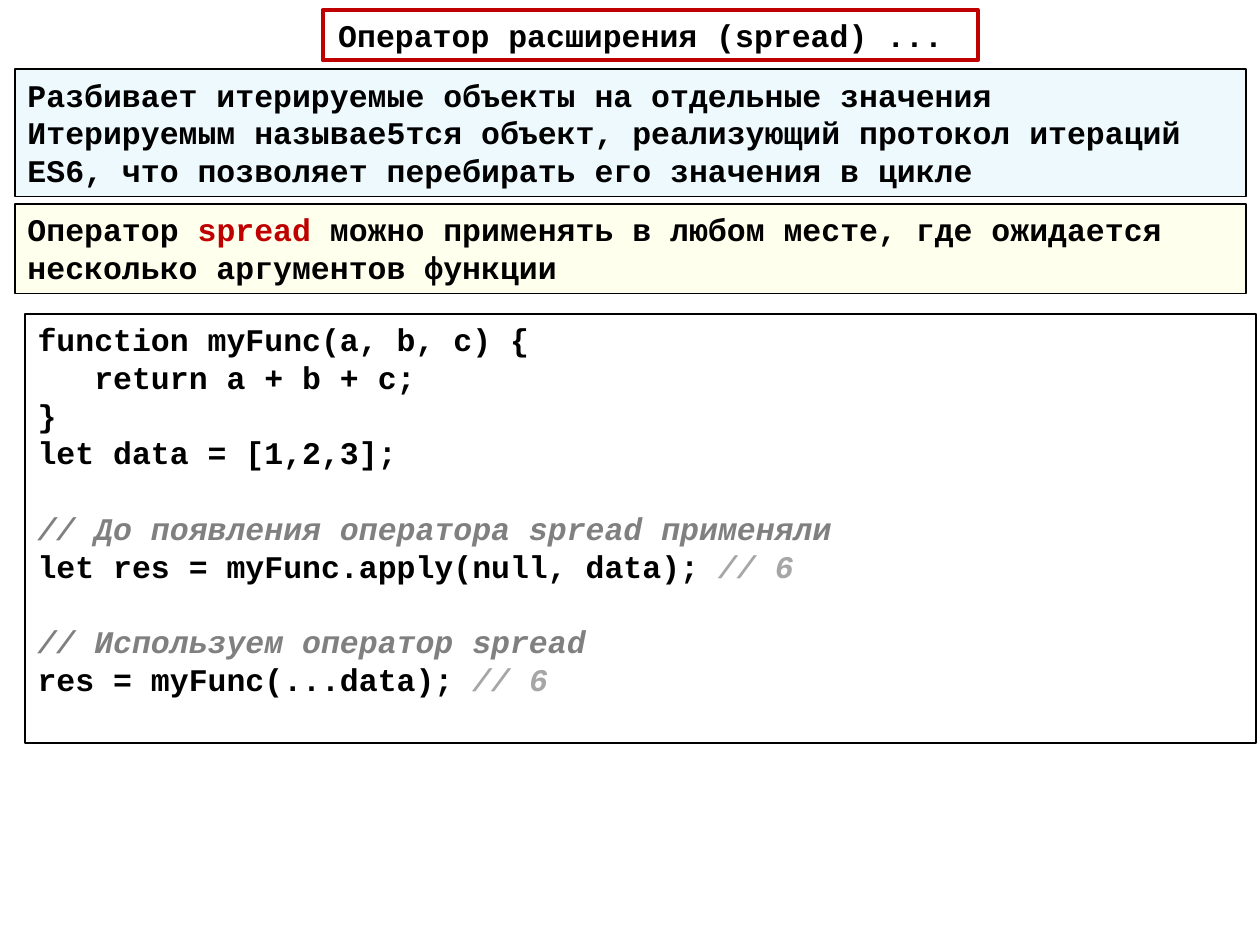
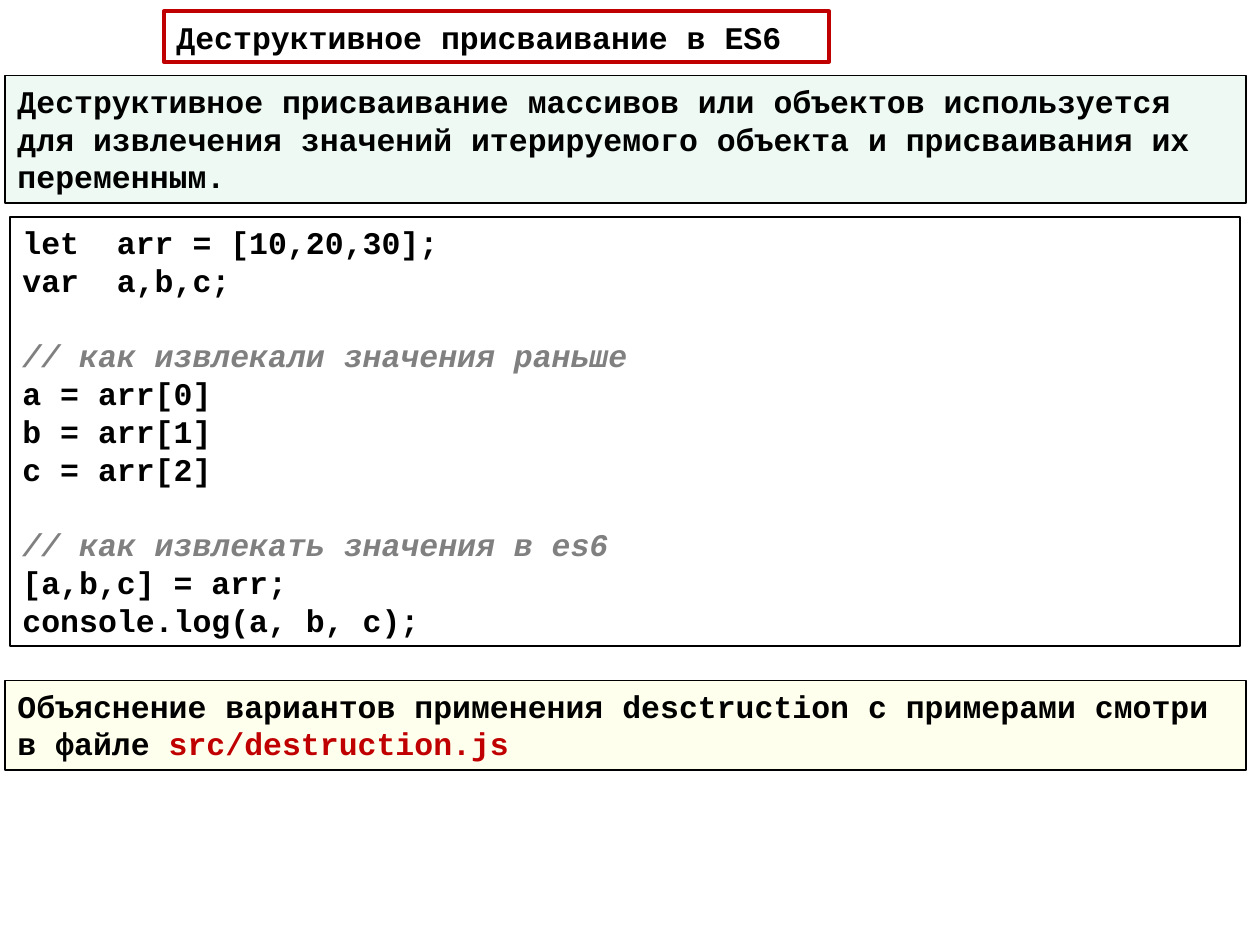
"""Build two slides on the spread operator and destructuring in ES6."""
from lxml import etree
from pptx import Presentation
from pptx.dml.color import RGBColor
from pptx.enum.shapes import MSO_SHAPE
from pptx.enum.text import MSO_ANCHOR, MSO_AUTO_SIZE, PP_ALIGN
from pptx.oxml.ns import qn
from pptx.util import Inches, Pt

RECT = MSO_SHAPE.RECTANGLE
TOP, MIDDLE = MSO_ANCHOR.TOP, MSO_ANCHOR.MIDDLE
LEFT, CENTER = PP_ALIGN.LEFT, PP_ALIGN.CENTER
NO_FIT = MSO_AUTO_SIZE.NONE

BLACK = RGBColor(0x00, 0x00, 0x00)
WHITE = RGBColor(0xFF, 0xFF, 0xFF)
RED = RGBColor(0xC0, 0x00, 0x00)
BLUE = RGBColor(0x00, 0xB0, 0xF0)
GREEN = RGBColor(0x00, 0xB0, 0x50)
YELLOW = RGBColor(0xFF, 0xFF, 0x00)
GRAY = RGBColor(0x80, 0x80, 0x80)
LIGHT_GRAY = RGBColor(0xA6, 0xA6, 0xA6)

FONT = "Courier New"
SIZE = 18
LINE = 1.2 * SIZE
CHAR = 0.6 * SIZE
TINT = 7
LINE_STEP = LINE / 72
PADDING = 0.11
TITLE_HEIGHT = 0.4

# A paragraph is a list of (text, colour) runs; an empty one is a gap.
SLIDES = [
    {
        "title": ("Оператор расширения (spread) ... ", 2.56, 0.08, 5.2, CENTER),
        "boxes": [
            (0.12, 0.55, 9.77, 3, BLUE, [
                [("Разбивает итерируемые объекты на отдельные значения", BLACK)],
                [("Итерируемым называе5тся объект, реализующий протокол "
                  "итераций ES6, что позволяет перебирать его значения в цикле",
                  BLACK)],
            ]),
            (0.2, 2.49, 9.77, 11, WHITE, [
                [("function myFunc(a, b, c) {", BLACK)],
                [("   return a + b + c;", BLACK)],
                [("}", BLACK)],
                [("let data = [1,2,3];", BLACK)],
                [],
                [("// До появления оператора spread применяли", GRAY)],
                [("let res = myFunc.apply(null, data); ", BLACK),
                 ("// 6", LIGHT_GRAY)],
                [],
                [("// Используем оператор spread", GRAY)],
                [("res = myFunc(...data); ", BLACK), ("// 6", LIGHT_GRAY)],
            ]),
            (0.12, 1.62, 9.77, 2, YELLOW, [
                [("Оператор ", BLACK), ("spread ", RED),
                 ("можно применять в любом месте, где ожидается несколько "
                  "аргументов функции", BLACK)],
            ]),
        ],
    },
    {
        "title": ("Деструктивное присваивание в ES6", 1.3, 0.09, 5.28, LEFT),
        "boxes": [
            (0.04, 0.6, 9.85, 3, GREEN, [
                [("Деструктивное присваивание массивов или объектов "
                  "используется для извлечения значений итерируемого объекта "
                  "и присваивания их переменным.", BLACK)],
            ]),
            (0.08, 1.72, 9.76, 11, WHITE, [
                [("let  arr = [10,20,30];", BLACK)],
                [("var  a,b,c;", BLACK)],
                [],
                [("// как извлекали значения раньше", GRAY)],
                [("a = arr[0]", BLACK)],
                [("b = arr[1]", BLACK)],
                [("c = arr[2]", BLACK)],
                [],
                [("// как извлекать значения в es6", GRAY)],
                [("[a,b,c] = arr;", BLACK)],
                [("console.log(a, b, c);", BLACK)],
            ]),
            (0.04, 5.4, 9.85, 2, YELLOW, [
                [("Объяснение вариантов применения desctruction c примерами "
                  "смотри в файле ", BLACK), ("src/destruction.js", RED)],
            ]),
        ],
    },
]


def place(sp, left, top, width, height):
    sp.left, sp.top = Inches(left), Inches(top)
    sp.width, sp.height = Inches(width), Inches(height)


def outline(sp, color, width):
    sp.line.color.rgb = color
    sp.line.width = Pt(width)


def tint(sp, color):
    sp.fill.solid()
    sp.fill.fore_color.rgb = color
    clr = sp.fill._xPr.find(qn("a:solidFill"))[0]
    etree.SubElement(clr, qn("a:alpha")).set("val", str(TINT * 1000))


def write(sp, paragraphs, align, anchor):
    tf = sp.text_frame
    tf.word_wrap, tf.auto_size, tf.vertical_anchor = True, NO_FIT, anchor
    p, gap = tf.paragraphs[0], 0
    for i, runs in enumerate(paragraphs):
        if not runs:
            gap += LINE
            continue
        if i:
            p = tf.add_paragraph()
        p.alignment, p.line_spacing = align, Pt(LINE)
        p.space_before, gap = Pt(gap), 0
        p.font.name, p.font.size, p.font.bold = FONT, Pt(SIZE), True
        first = runs[0][0]
        indent = len(first) - len(first.lstrip())
        if indent:
            pPr = p._p.get_or_add_pPr()
            pPr.set("marL", str(Pt(indent * CHAR)))
            pPr.set("indent", "0")
        for j, (text, color) in enumerate(runs):
            r = p.add_run()
            r.text = text if j else text.lstrip()
            r.font.color.rgb = color
            r.font.italic = color in (GRAY, LIGHT_GRAY)


def add_title(s, text, left, top, width, align):
    sp = s.shapes.title
    place(sp, left, top, width, TITLE_HEIGHT)
    sp.fill.solid()
    sp.fill.fore_color.rgb = WHITE
    outline(sp, RED, 2.25)
    write(sp, [[(text, BLACK)]], align, MIDDLE)


def add_box(s, left, top, width, rows, color, paragraphs):
    sp = s.shapes.add_shape(RECT, 0, 0, 0, 0)
    place(sp, left, top, width, rows * LINE_STEP + PADDING)
    sp.shadow.inherit = False
    tint(sp, color)
    outline(sp, BLACK, 1)
    write(sp, paragraphs, LEFT, TOP)


prs = Presentation()
prs.slide_width, prs.slide_height = Inches(10), Inches(7.5)
title_only = prs.slide_layouts[5]
for content in SLIDES:
    s = prs.slides.add_slide(title_only)
    add_title(s, *content["title"])
    for box in content["boxes"]:
        add_box(s, *box)
prs.save("out.pptx")
